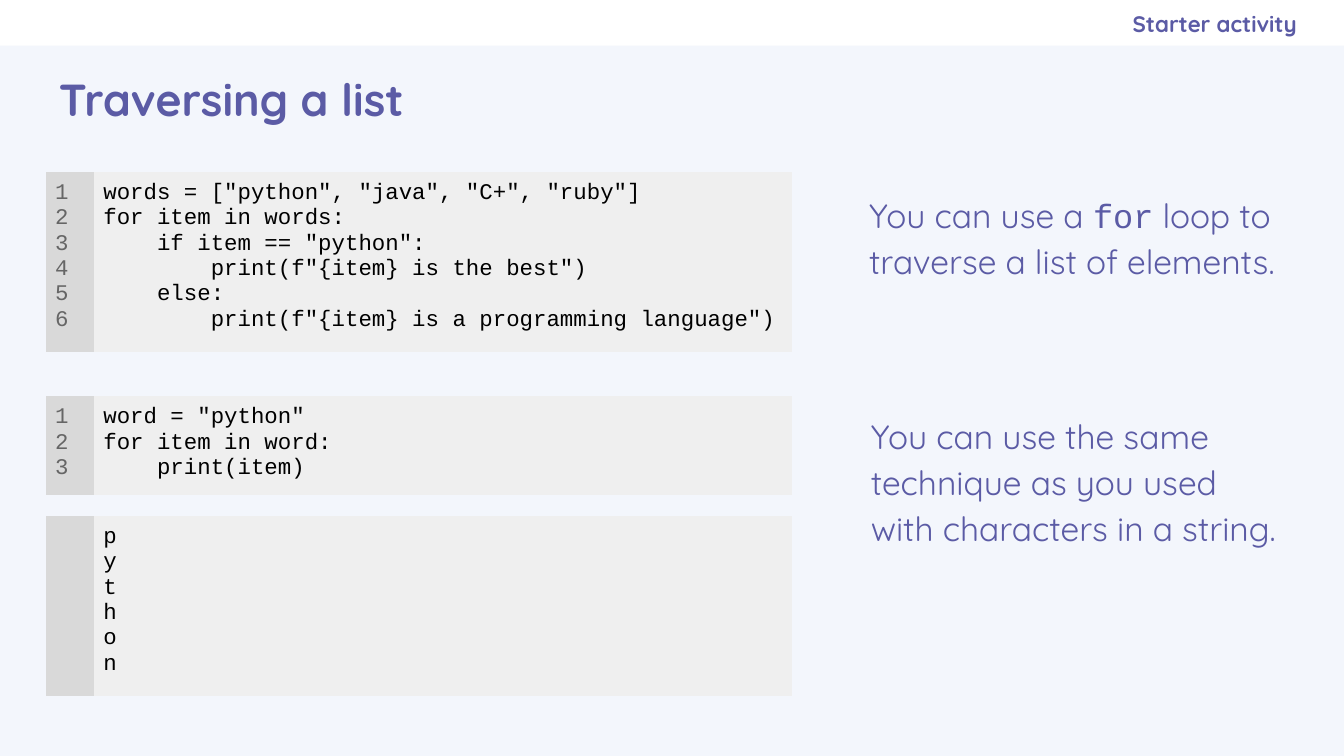
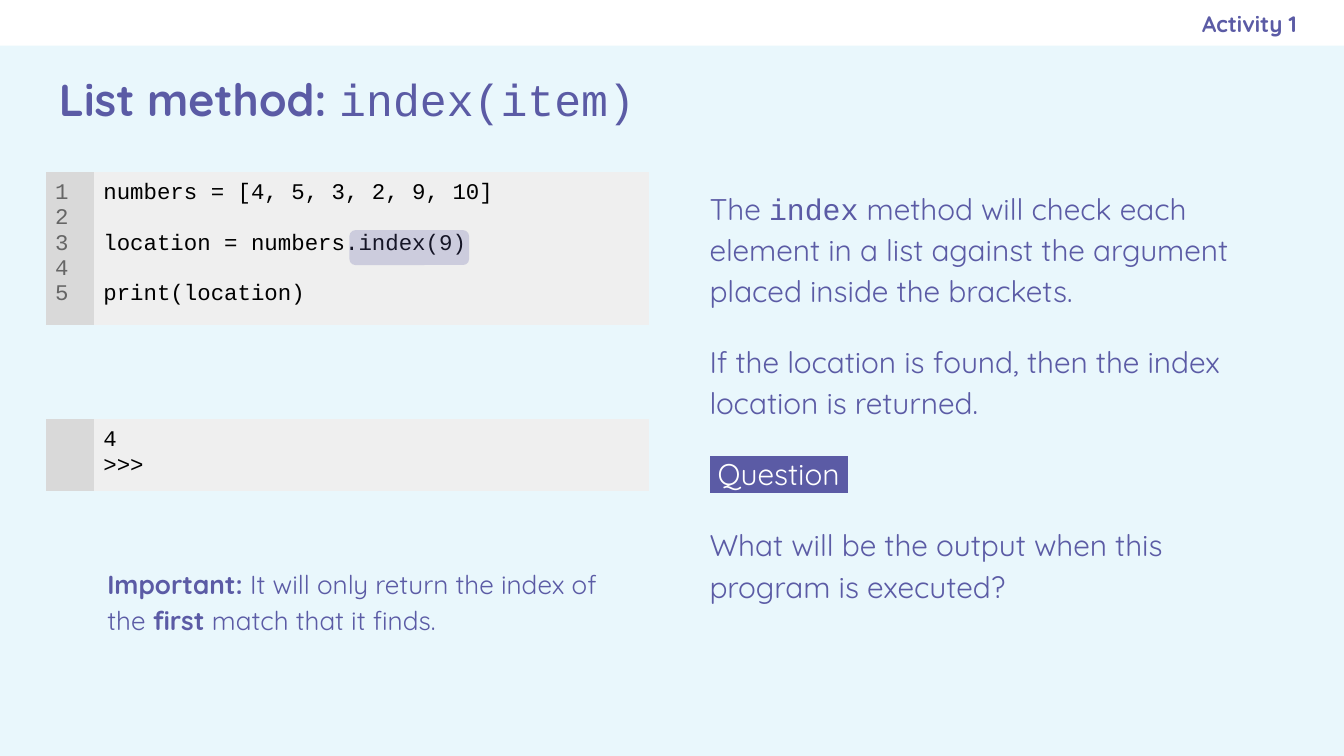
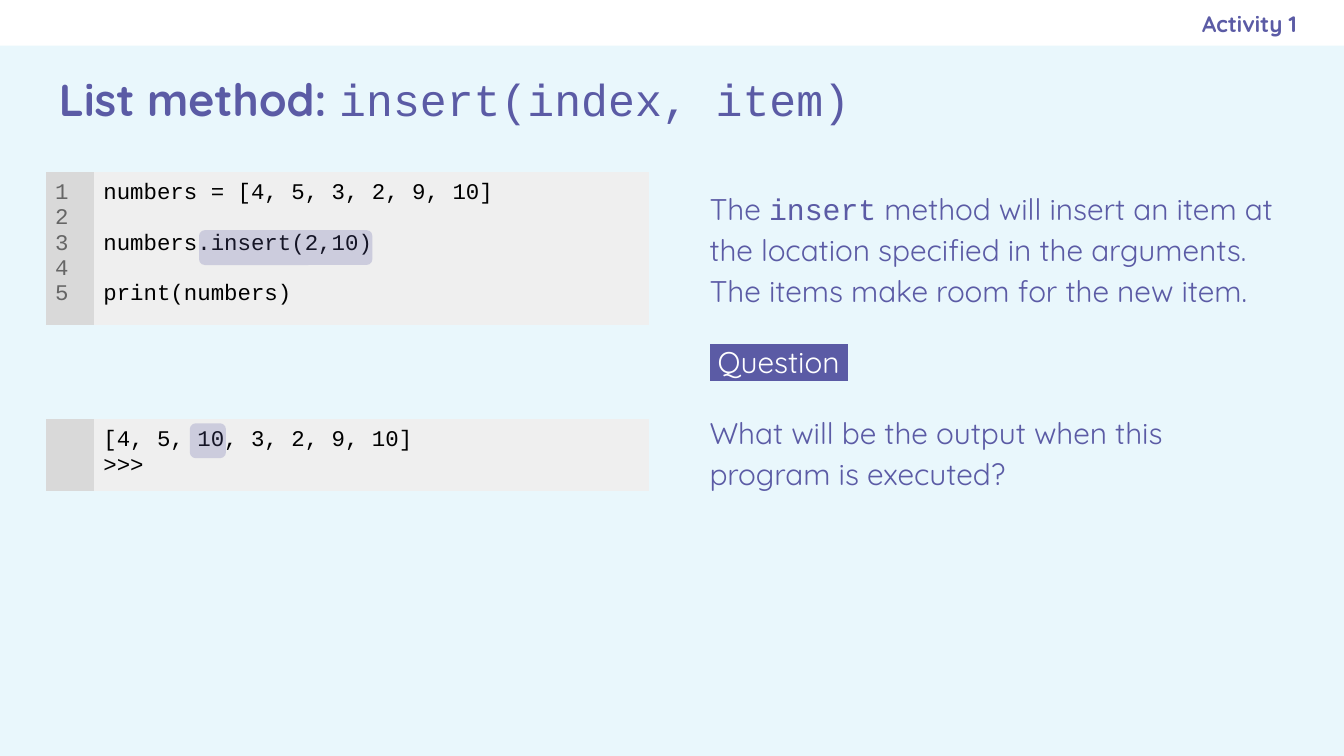
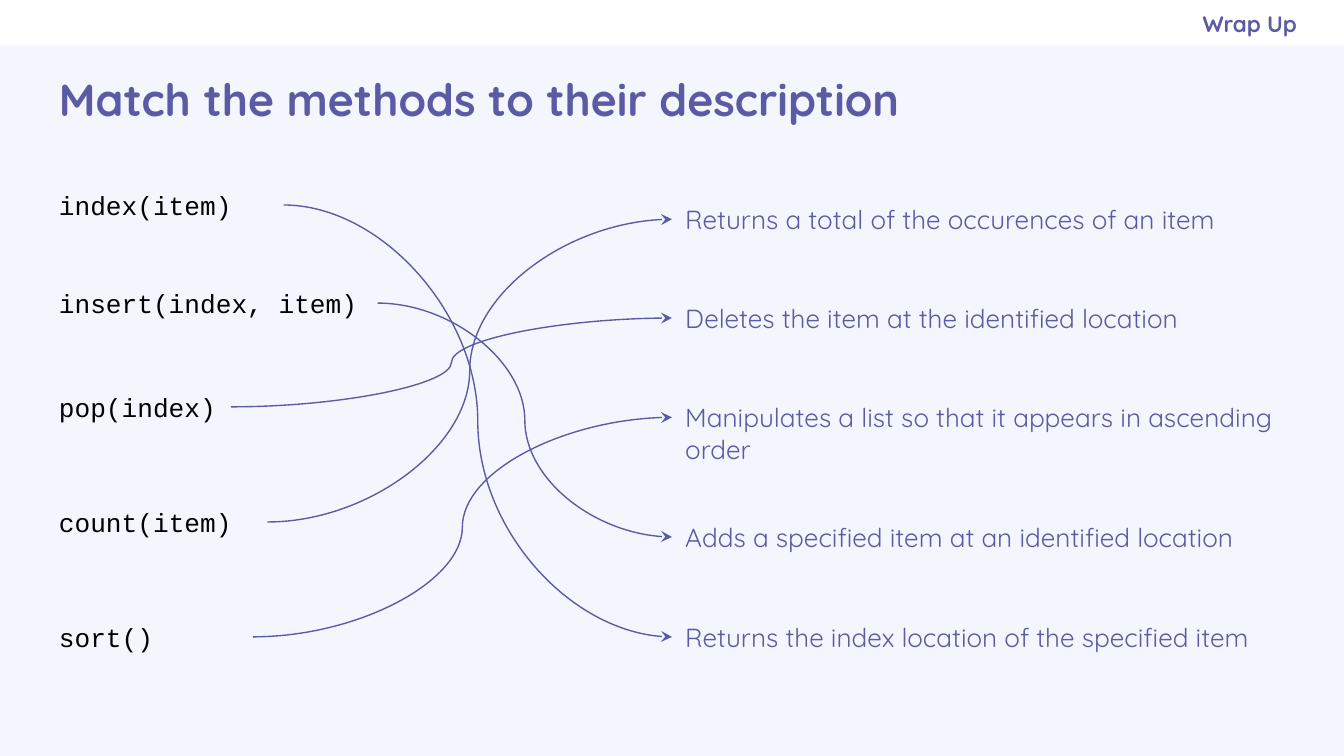
"""Build four lesson slides about Python list methods."""
from lxml.etree import SubElement
from pptx import Presentation
from pptx.dml.color import RGBColor
from pptx.enum.shapes import MSO_CONNECTOR, MSO_SHAPE
from pptx.enum.text import MSO_ANCHOR, PP_ALIGN
from pptx.oxml.ns import qn
from pptx.util import Pt

PURPLE = RGBColor(0x5B, 0x5B, 0xA5)
WHITE = RGBColor(0xFF, 0xFF, 0xFF)
BLACK = RGBColor(0, 0, 0)
NUMBER_GRAY = RGBColor(0x66, 0x66, 0x66)
GUTTER_GRAY = RGBColor(0xD9, 0xD9, 0xD9)
CODE_GRAY = RGBColor(0xEF, 0xEF, 0xEF)
LILAC = RGBColor(0xF3, 0xF6, 0xFC)
SKY = RGBColor(0xE9, 0xF7, 0xFC)

SANS, MONO = "Quicksand", "Courier New"
NO_TABLE_STYLE = "{2D5ABB26-0587-4C30-8999-92F81FD0307C}"
WIDTH, HEIGHT = 720, 405
BAND_HEIGHT = 24.5
LEFT = 24.5
GUTTER_WIDTH = 25.9
LISTING_FRAME = 236.2
LISTING_ROW = 0.75
CELL_INSET = 5
INSET = 7.2
ROW_HEIGHT = 31
DESCRIPTION_LEFT, DESCRIPTION_WIDTH = 360, 329.8

CODE = {"font": MONO}
BOLD = {"bold": True}
PLAIN_CODE = {"font": MONO, "bold": False}
QUESTION = [
    [(" Question ", {"color": WHITE, "highlight": PURPLE})],
    "What will be the output when this program is executed?",
]
METHOD_BODY = (373, 92, 322.6, 288)
METHOD_CODE_WIDTH = 297.4

LESSONS = [
    {
        "section": "Starter activity",
        "title": "Traversing a list",
        "background": LILAC,
        "code_width": 374,
        "listings": [
            (92, True, [
                'words = ["python", "java", "C+", "ruby"]',
                "for item in words:",
                '    if item == "python":',
                '        print(f"{item} is the best")',
                "    else:",
                '        print(f"{item} is a programming language")',
            ]),
            (212.2, True, ['word = "python"', "for item in word:", "    print(item)"]),
            (276.3, False, list("python")),
        ],
        "texts": [
            ((458.5, 94, 238.3, 71.3), 18,
             [["You can use a ", ("for", CODE), " loop to traverse a list of elements."]]),
            ((459.4, 212.2, 236.2, 85.7), 18,
             ["You can use the same technique as you used with characters in a string."]),
        ],
    },
    {
        "section": "Activity 1",
        "title": ["List method: ", ("index(item)", PLAIN_CODE)],
        "background": SKY,
        "code_width": METHOD_CODE_WIDTH,
        "listings": [
            (92, True, ["numbers = [4, 5, 3, 2, 9, 10]", "",
                        "location = numbers.index(9)", "", "print(location)"]),
            (224.4, False, ["4", ">>>"]),
        ],
        "texts": [
            (METHOD_BODY, 16, [
                ["The ", ("index", CODE), " method will check each element in a list "
                 "against the argument placed inside the brackets."],
                "If the location is found, then the index location is returned.",
                *QUESTION,
            ]),
            ((50.4, 294.9, 296.6, 54.7), 14, [
                [("Important:", BOLD), " It will only return the index of the ",
                 ("first ", BOLD), "match that it finds."],
            ]),
        ],
        "markers": [(187.2, 123.3, 64.1)],
    },
    {
        "section": "Activity 1",
        "title": ["List method: ", ("insert(index, item)", PLAIN_CODE)],
        "background": SKY,
        "code_width": METHOD_CODE_WIDTH,
        "listings": [
            (92, True, ["numbers = [4, 5, 3, 2, 9, 10]", "",
                        "numbers.insert(2,10)", "", "print(numbers)"]),
            (224.4, False, ["[4, 5, 10, 3, 2, 9, 10]", ">>>"]),
        ],
        "texts": [
            (METHOD_BODY, 16, [
                ["The ", ("insert", CODE), " method will insert an item at the location "
                 "specified in the arguments. The items make room for the new item."],
                *QUESTION,
            ]),
        ],
        "markers": [(106.6, 123.3, 92.9), (101.7, 226.8, 19.4)],
    },
    {
        "section": "Wrap Up",
        "title": "Match the methods to their description",
        "background": LILAC,
        "matches": [
            ("index(item)", 94.3, 127.4,
             "Returns the index location of the specified item", 325.7),
            ("insert(index, item)", 146.9, 177.8,
             "Adds a specified item at an identified location", 272.2),
            ("pop(index)", 202.5, 99.2,
             "Deletes the item at the identified location", 154.9),
            ("count(item)", 264.2, 118.8,
             "Returns a total of the occurences of an item", 102),
            ("sort()", 325.7, 110.9,
             "Manipulates a list so that it appears in ascending order", 208.1),
        ],
    },
]


def points(*lengths):
    return [Pt(length) for length in lengths]


def write(frame, paragraphs, size=14, font=SANS, color=PURPLE, bold=False,
          align=PP_ALIGN.LEFT, line_spacing=None, gap=0):
    """Fill a text frame; a paragraph is a string or a list of spans."""
    for index, spans in enumerate(paragraphs):
        para = frame.add_paragraph() if index else frame.paragraphs[0]
        para.alignment = align
        if line_spacing:
            para.line_spacing = line_spacing
        if index and gap:
            para.space_before = Pt(gap)
        if not spans:
            ending = SubElement(para._p, qn("a:endParaRPr"), sz=str(size * 100))
            SubElement(ending, qn("a:latin"), typeface=font)
            continue
        for part in [spans] if isinstance(spans, str) else spans:
            text, changes = (part, {}) if isinstance(part, str) else part
            span = para.add_run()
            span.text = text
            span.font.size = Pt(size)
            span.font.name = changes.get("font", font)
            span.font.bold = changes.get("bold", bold)
            span.font.color.rgb = changes.get("color", color)
            if "highlight" in changes:
                properties = span.font._element
                highlight = SubElement(properties, qn("a:highlight"))
                SubElement(highlight, qn("a:srgbClr"), val=str(changes["highlight"]))
                properties.find(qn("a:solidFill")).addnext(highlight)


def add_text(page, place, paragraphs, anchor=MSO_ANCHOR.TOP, right_inset=INSET, **style):
    box = page.shapes.add_textbox(*points(*place))
    frame = box.text_frame
    frame.word_wrap = True
    frame.vertical_anchor = anchor
    frame.margin_left, frame.margin_right = points(INSET, right_inset)
    frame.margin_top = frame.margin_bottom = Pt(INSET)
    write(frame, paragraphs, **style)
    return box


def add_block(page, kind, place, color):
    block = page.shapes.add_shape(kind, *points(*place))
    block.shadow.inherit = False
    block.fill.solid()
    block.fill.fore_color.rgb = color
    block.line.fill.background()
    return block


def add_listing(page, top, numbered, lines, code_width):
    """Add a code table whose single row grows to fit its lines."""
    holder = page.shapes.add_table(
        1, 2, *points(LEFT, top, GUTTER_WIDTH + code_width, LISTING_ROW))
    table = holder.table
    table.first_row = table.horz_banding = False
    table._tbl.tblPr.find(qn("a:tableStyleId")).text = NO_TABLE_STYLE
    numbers = [str(number) for number in range(1, len(lines) + 1)] if numbered else [""]
    columns = [(GUTTER_WIDTH, numbers, NUMBER_GRAY, GUTTER_GRAY),
               (code_width, lines, BLACK, CODE_GRAY)]
    for index, (width, texts, color, fill) in enumerate(columns):
        table.columns[index].width = Pt(width)
        cell = table.cell(0, index)
        cell.fill.solid()
        cell.fill.fore_color.rgb = fill
        cell.margin_left = cell.margin_right = Pt(CELL_INSET)
        cell.margin_top = cell.margin_bottom = Pt(CELL_INSET)
        write(cell.text_frame, texts, size=12, font=MONO, color=color)
    holder.width = holder.height = Pt(LISTING_FRAME)


def add_marker(page, left, top, width):
    marker = add_block(page, MSO_SHAPE.ROUNDED_RECTANGLE, (left, top, width, 18.7), PURPLE)
    color = marker.fill._xPr.find(qn("a:solidFill"))[0]
    SubElement(color, qn("a:alpha"), val="23000")


def add_match(page, method, method_top, method_width, description, description_top):
    source = add_text(page, (LEFT, method_top, method_width, ROW_HEIGHT), [method],
                      font=MONO, color=BLACK)
    target = add_text(page, (DESCRIPTION_LEFT, description_top, DESCRIPTION_WIDTH, ROW_HEIGHT),
                      [description])
    arrow = page.shapes.add_connector(
        MSO_CONNECTOR.CURVE,
        *points(LEFT + method_width, method_top + ROW_HEIGHT / 2,
                DESCRIPTION_LEFT, description_top + ROW_HEIGHT / 2))
    arrow.begin_connect(source, 3)
    arrow.end_connect(target, 1)
    arrow.line.color.rgb = PURPLE
    arrow.line.width = Pt(0.75)
    SubElement(arrow.line._get_or_add_ln(), qn("a:tailEnd"), type="stealth")
    SubElement(arrow._element.spPr, qn("a:effectLst"))


def add_lesson(deck, lesson):
    page = deck.slides.add_slide(deck.slide_layouts[6])
    page.background.fill.solid()
    page.background.fill.fore_color.rgb = lesson["background"]
    add_block(page, MSO_SHAPE.RECTANGLE, (0, 0, WIDTH, BAND_HEIGHT), WHITE)
    add_text(page, (LEFT, 25.5, 671, 54.7), [lesson["title"]],
             anchor=MSO_ANCHOR.MIDDLE, size=24, bold=True)
    add_text(page, (414, 0.3, 280.8, BAND_HEIGHT), [lesson["section"]], right_inset=0,
             anchor=MSO_ANCHOR.MIDDLE, size=12, bold=True, align=PP_ALIGN.RIGHT)
    for listing in lesson.get("listings", []):
        add_listing(page, *listing, lesson["code_width"])
    for place, size, paragraphs in lesson.get("texts", []):
        add_text(page, place, paragraphs, size=size, line_spacing=1.15, gap=16)
    for marker in lesson.get("markers", []):
        add_marker(page, *marker)
    for match in lesson.get("matches", []):
        add_match(page, *match)


def main():
    deck = Presentation()
    deck.slide_width, deck.slide_height = points(WIDTH, HEIGHT)
    for lesson in LESSONS:
        add_lesson(deck, lesson)
    deck.save("out.pptx")


if __name__ == "__main__":
    main()
